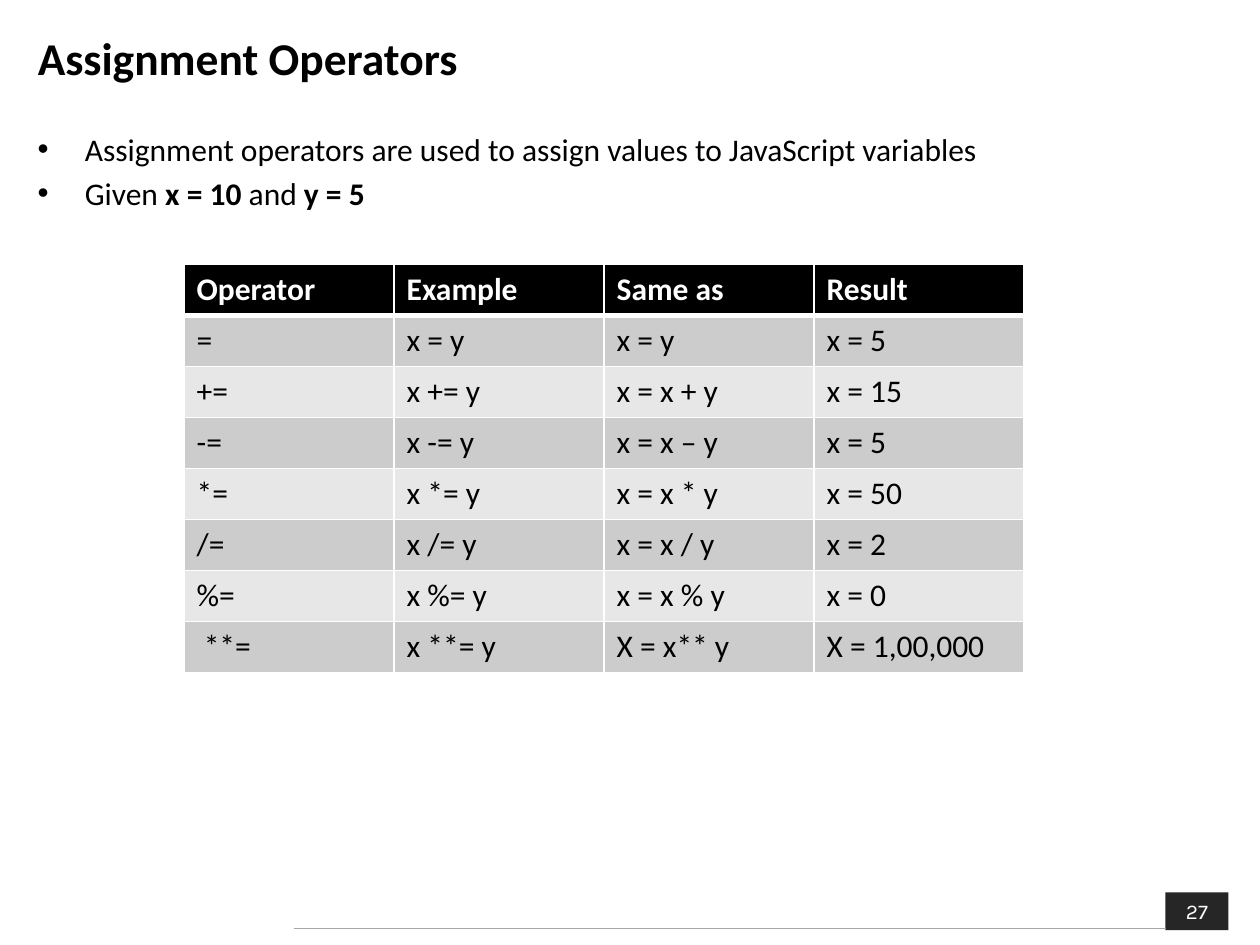
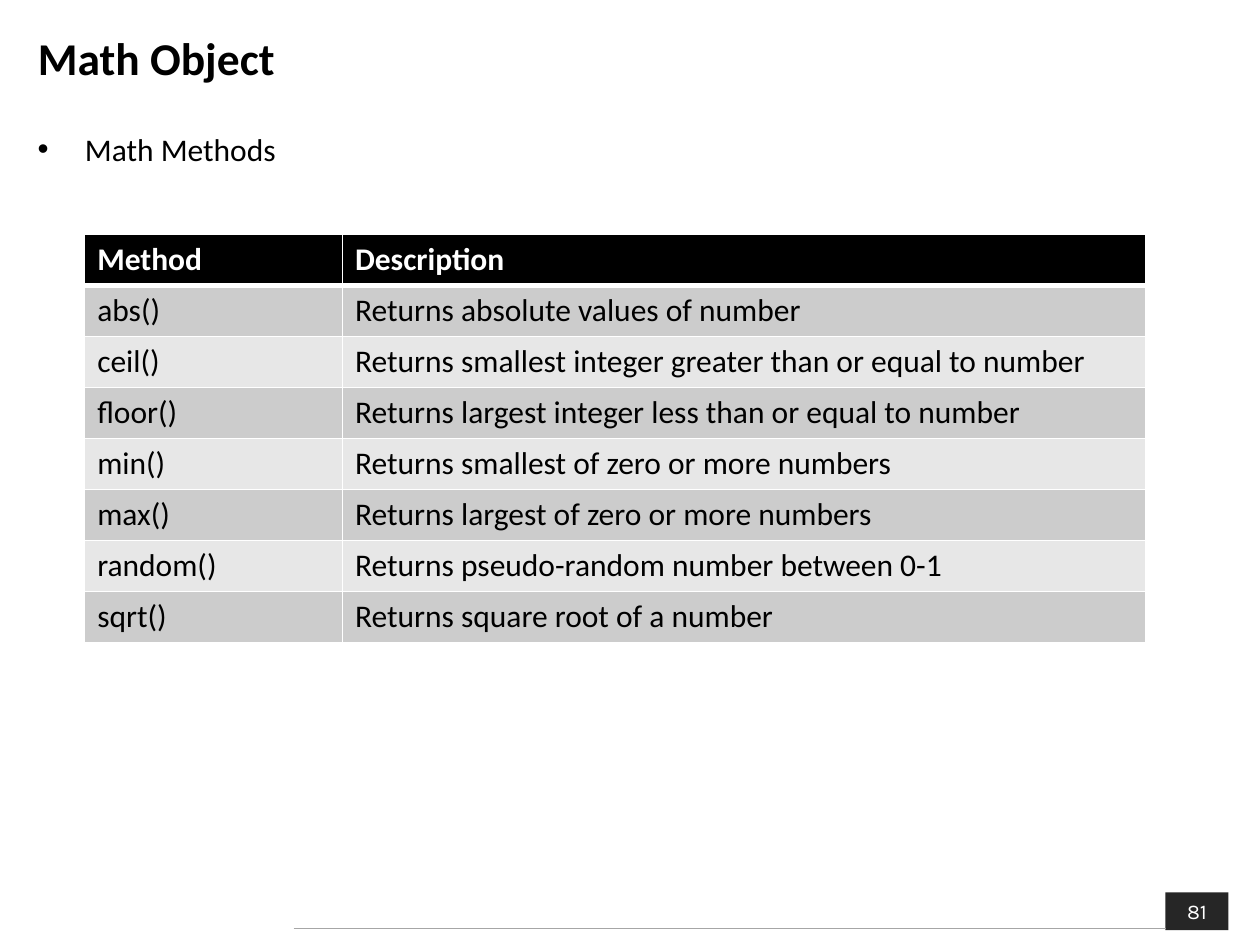
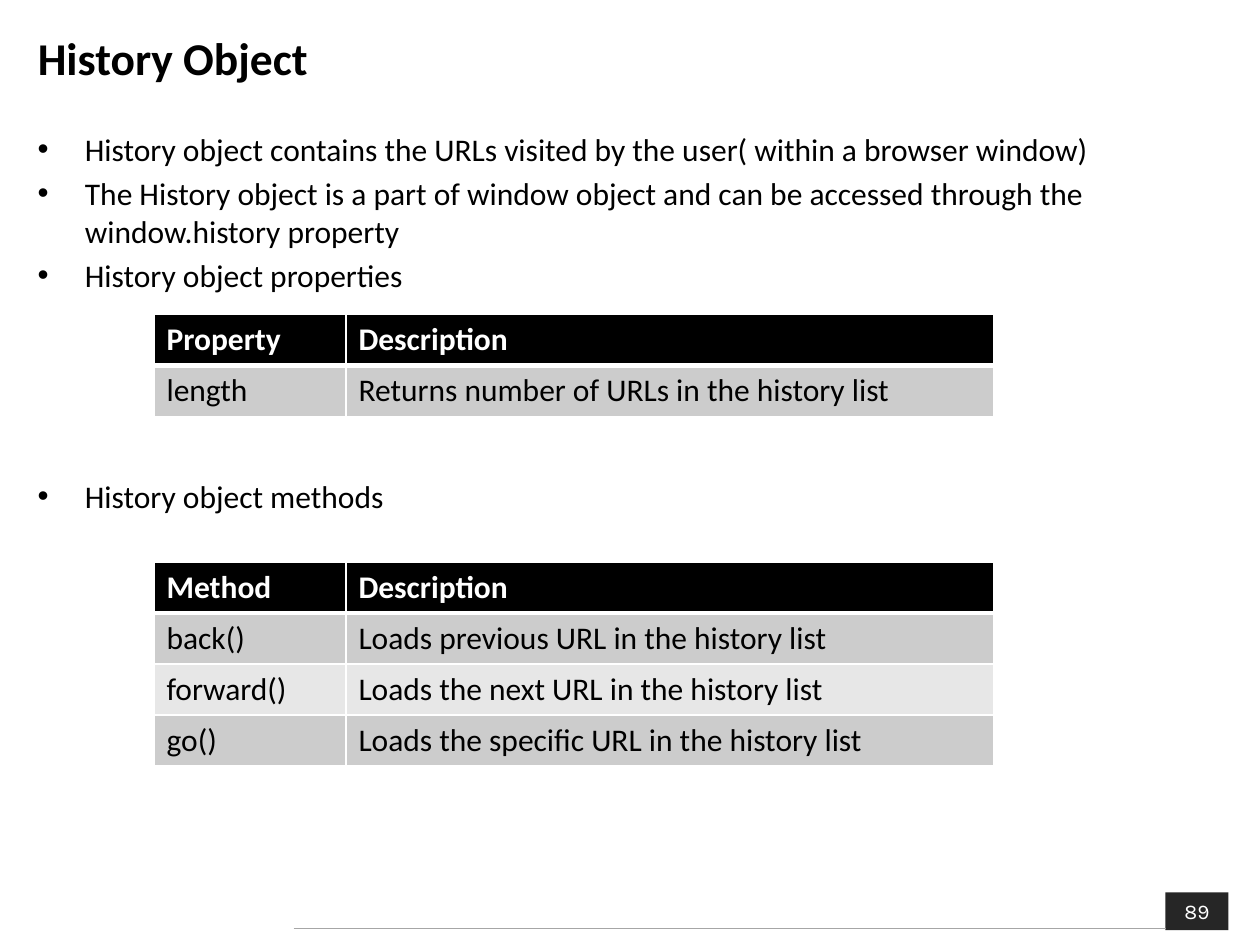
from dataclasses import dataclass

from lxml import etree
from pptx import Presentation
from pptx.dml.color import RGBColor
from pptx.enum import shapes, text
from pptx.oxml import ns
from pptx.util import Pt


@dataclass(frozen=True)
class Theme:
    ink: RGBColor = RGBColor.from_string("000000")
    paper: RGBColor = RGBColor.from_string("FFFFFF")
    dark_row: RGBColor = RGBColor.from_string("CCCCCC")
    light_row: RGBColor = RGBColor.from_string("E7E7E7")
    badge: RGBColor = RGBColor.from_string("262626")
    rule: RGBColor = RGBColor.from_string("A6A6A6")
    text_font: str = "Calibri"
    number_font: str = "Karla"
    title_size: Pt = Pt(26)
    text_size: Pt = Pt(18)
    number_size: Pt = Pt(12)


theme = Theme()


def style_font(font, color, **format_values):
    values = {"name": theme.text_font, "size": theme.text_size, "bold": False} | format_values
    for attribute, value in values.items():
        setattr(font, attribute, value)
    font.color.rgb = color


def add_border(cell, side, width):
    line = etree.SubElement(cell._tc.get_or_add_tcPr(), ns.qn(f"a:ln{side}"), w=str(Pt(width)))
    fill = etree.SubElement(line, ns.qn("a:solidFill"))
    etree.SubElement(fill, ns.qn("a:srgbClr"), val=str(theme.paper))


LEFT, WIDTH = 14.4, 694.8
ROW_HEIGHT = 29.16
BULLET_INDENT = 27
BULLET_GAP = 3.6
GAP_AROUND_TABLE = 104.4

lessons = [
    {
        "title": "Assignment Operators",
        "number": "27",
        "bullets": [
            (BULLET_GAP, ["Assignment operators are used to assign values to JavaScript variables"]),
            (BULLET_GAP, ["Given ", "x = 10 ", "and ", "y = 5"]),
        ],
        "tables": [
            (105.2, 151.2, [120] * 4, [
                ("Operator", "Example", "Same as", "Result"),
                ("=", "x = y", "x = y", "x = 5"),
                ("+=", "x += y", "x = x + y", "x = 15"),
                ("-=", "x -= y", "x = x – y", "x = 5"),
                ("*=", "x *= y", "x = x * y", "x = 50"),
                ("/=", "x /= y", "x = x / y", "x = 2"),
                ("%=", "x %= y", "x = x % y", "x = 0"),
                (" **=", "x **= y", "X = x** y", "X = 1,00,000"),
            ]),
        ],
    },
    {
        "title": "Math Object",
        "number": "81",
        "bullets": [(BULLET_GAP, ["Math Methods"])],
        "tables": [
            (48.4, 134, [147.3, 459], [
                ("Method", "Description"),
                ("abs()", "Returns absolute values of number"),
                ("ceil()", "Returns smallest integer greater than or equal to number"),
                ("floor()", "Returns largest integer less than or equal to number"),
                ("min()", "Returns smallest of zero or more numbers"),
                ("max()", "Returns largest of zero or more numbers"),
                ("random()", "Returns pseudo-random number between 0-1"),
                ("sqrt()", "Returns square root of a number"),
            ]),
        ],
    },
    {
        "title": "History Object",
        "number": "89",
        "bullets": [
            (BULLET_GAP, ["History object contains the URLs visited by the user( within a browser window)"]),
            (BULLET_GAP, ["The History object is a part of window object and can be accessed "
                          "through the window.history property"]),
            (BULLET_GAP, ["History object properties"]),
            (GAP_AROUND_TABLE, ["History object methods"]),
        ],
        "tables": [
            (88, 179.6, [109.7, 370.3], [
                ("Property", "Description"),
                ("length", "Returns number of URLs in the history list"),
            ]),
            (88, 321.2, [109.7, 370.3], [
                ("Method", "Description"),
                ("back()", "Loads previous URL in the history list"),
                ("forward()", "Loads the next URL in the history list"),
                ("go()", "Loads the specific URL in the history list"),
            ]),
        ],
    },
]

deck = Presentation()
deck.slide_width, deck.slide_height = Pt(720), Pt(540)
title_only = deck.slide_layouts[5]

for lesson in lessons:
    slide = deck.slides.add_slide(title_only)

    page_badge = slide.shapes.add_shape(
        shapes.MSO_SHAPE.RECTANGLE, Pt(666), Pt(510), Pt(36), Pt(21.6))
    page_badge.shadow.inherit = False
    page_badge.fill.solid()
    page_badge.fill.fore_color.rgb = theme.badge
    page_badge.line.fill.background()
    page_number = page_badge.text_frame.paragraphs[0]
    page_number.text = lesson["number"]
    page_number.alignment = text.PP_ALIGN.CENTER
    style_font(page_number.font, theme.paper, name=theme.number_font, size=theme.number_size)

    footer_rule = slide.shapes.add_connector(
        shapes.MSO_CONNECTOR.STRAIGHT, Pt(167.8), Pt(530.6), Pt(666), Pt(530.6))
    footer_rule.line.color.rgb = theme.rule
    footer_rule.line.width = Pt(0.75)
    etree.SubElement(footer_rule._element.spPr, ns.qn("a:effectLst"))

    heading = slide.shapes.title
    heading_place = {"left": Pt(LEFT), "top": Pt(10.8), "width": Pt(WIDTH), "height": Pt(44)}
    for attribute, value in heading_place.items():
        setattr(heading, attribute, value)
    heading.text_frame.text = lesson["title"]
    heading.text_frame.auto_size = text.MSO_AUTO_SIZE.NONE
    heading.text_frame.vertical_anchor = text.MSO_ANCHOR.MIDDLE
    heading_line = heading.text_frame.paragraphs[0]
    heading_line.alignment = text.PP_ALIGN.LEFT
    style_font(heading_line.font, theme.ink, size=theme.title_size, bold=True)

    points = slide.shapes.add_textbox(Pt(LEFT), Pt(70.8), Pt(WIDTH), Pt(414.7)).text_frame
    points.word_wrap = True
    for index, (gap, parts) in enumerate(lesson["bullets"]):
        point = points.add_paragraph() if index else points.paragraphs[0]
        properties = point._p.get_or_add_pPr()
        properties.set("marL", str(Pt(BULLET_INDENT)))
        properties.set("indent", str(Pt(-BULLET_INDENT)))
        if index:
            point.space_before = Pt(gap)
        etree.SubElement(properties, ns.qn("a:buFont"), typeface="Arial")
        etree.SubElement(properties, ns.qn("a:buChar"), char="•")
        for position, part in enumerate(parts):
            run = point.add_run()
            run.text = part
            style_font(run.font, theme.ink, bold=position % 2 == 1)

    for left, top, column_widths, rows in lesson["tables"]:
        table = slide.shapes.add_table(
            len(rows), len(column_widths), Pt(left), Pt(top),
            Pt(sum(column_widths)), Pt(ROW_HEIGHT * len(rows))).table
        for column, width in zip(table.columns, column_widths):
            column.width = Pt(width)
        for row_index, row in enumerate(rows):
            table.rows[row_index].height = Pt(ROW_HEIGHT)
            is_header = row_index == 0
            band = theme.dark_row if row_index % 2 else theme.light_row
            for column_index, entry in enumerate(row):
                cell = table.cell(row_index, column_index)
                cell.text = entry
                border_widths = {"L": 1, "R": 1, "T": 3 if row_index == 1 else 1,
                                 "B": 3 if is_header else 1}
                for side, width in border_widths.items():
                    add_border(cell, side, width)
                cell.fill.solid()
                cell.fill.fore_color.rgb = theme.ink if is_header else band
                style_font(cell.text_frame.paragraphs[0].runs[0].font,
                           theme.paper if is_header else theme.ink, bold=is_header)

deck.save("out.pptx")
